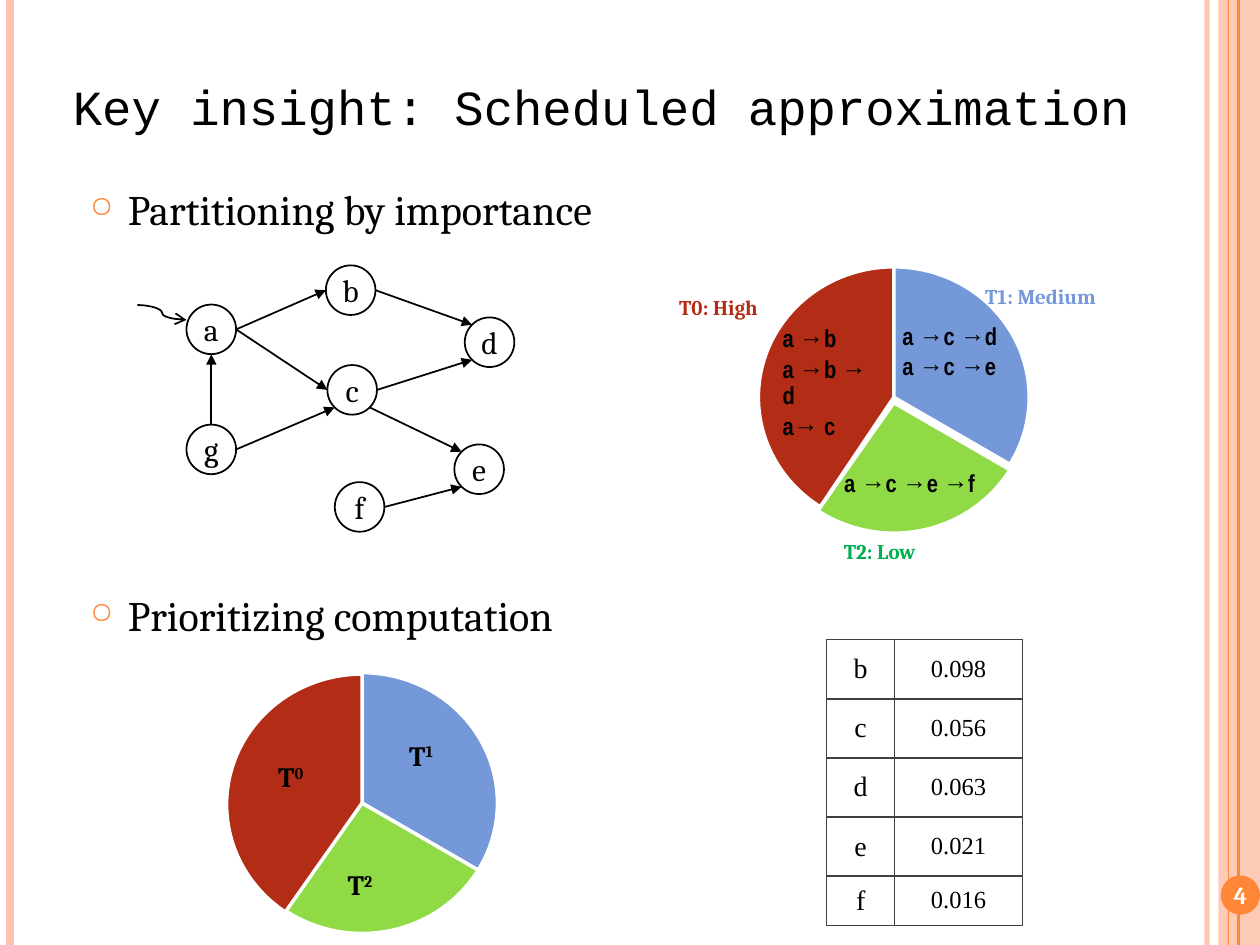
import math
import pptx
import pptx.util
import pptx.dml.color
import pptx.enum.shapes
import pptx.enum.text
import pptx.oxml
import pptx.oxml.ns

Cm, Pt = pptx.util.Cm, pptx.util.Pt
SHAPE = pptx.enum.shapes.MSO_SHAPE
LINK = pptx.enum.shapes.MSO_CONNECTOR
ALIGN = pptx.enum.text.PP_ALIGN
MIDDLE = pptx.enum.text.MSO_ANCHOR.MIDDLE

COLORS = {
    "black": "000000", "white": "FFFFFF", "orange": "FE8637", "peach": "FEC3AE",
    "red": "B32C16", "blue": "7598D9", "lime": "90DA46", "green": "00B050",
    "border": "404040",
}
TITLE = "Key insight: Scheduled approximation"
BULLETS = [("Partitioning by importance", 3.58), ("Prioritizing computation", 11.76)]
RULES = [
    (24.33, "peach", 3, 93), (0.2, "peach", 4.5, 100),
    (24.97, "orange", 1.5, 100), (24.77, "orange", 0.75, 100),
]
SLICES = {"red": (74.32, 162), "blue": (162, 18), "lime": (18, 75.08)}
PIES = [
    (15.29, {"red": 5.38, "blue": 5.38, "lime": 5.49}),
    (4.57, {"blue": 13.56, "red": 13.59, "lime": 13.56}),
]
WALKS = [
    (["a →b", "a →b → d", "a→ c"], 15.75, 6.55, 2.11, 1.8),
    (["a →c →d", "a →c →e"], 18.16, 6.5, 2.24, 1.57),
    (["a →c →e →f"], 16.99, 9.47, 2.92, 1.12),
]
LEVELS = [
    ("T0: High", "red", 13.44, 5.82),
    ("T1: Medium", "blue", 19.61, 5.59),
    ("T2: Low", "green", 16.76, 10.74),
]
TIERS = [("1", 8, 14.76), ("0", 5.36, 15.19), ("2", 6.76, 17.37)]
SCORES = [("b", "0.098"), ("c", "0.056"), ("d", "0.063"), ("e", "0.021"), ("f", "0.016")]
NODE_SIZE = 1
NODES = {
    "a": (4.26, 6.64), "b": (7.07, 5.85), "c": (7.1, 7.86), "d": (9.87, 6.9),
    "e": (9.66, 9.46), "f": (7.25, 10.22), "g": (4.26, 9.06),
}
EDGES = [
    ("a", 0, "b", 180), ("a", 0, "c", 180), ("b", 0, "d", 225), ("c", 0, "d", 135),
    ("c", 45, "e", 225), ("f", 0, "e", 135), ("g", 0, "c", 135), ("g", 270, "a", 90),
]

prs = pptx.Presentation()
prs.slide_width, prs.slide_height = Cm(25.4), Cm(19.05)
s = prs.slides.add_slide(prs.slide_layouts[6])


def rgb(name):
    return pptx.dml.color.RGBColor.from_string(COLORS[name])


def add_xml(parent, tag, **attrs):
    child = pptx.oxml.parse_xml(f"<a:{tag} {pptx.oxml.ns.nsdecls('a')}/>")
    for key, value in attrs.items():
        child.set(key, str(value))
    parent.append(child)
    return child


def set_alpha(fill_parent, percent):
    for color in fill_parent.iter(pptx.oxml.ns.qn("a:srgbClr")):
        add_xml(color, "alpha", val=percent * 1000)


def style(p, size, font="Cambria", color="black", bold=False):
    p.font.size, p.font.name, p.font.bold = Pt(size), font, bold
    p.font.color.rgb = rgb(color)


def add_shape(kind, x, y, w, h, fill, line=None, width=1):
    sp = s.shapes.add_shape(kind, Cm(x), Cm(y), Cm(w), Cm(h))
    sp.shadow.inherit = False
    sp.fill.solid()
    sp.fill.fore_color.rgb = rgb(fill)
    if line:
        sp.line.color.rgb = rgb(line)
        sp.line.width = Pt(width)
    else:
        sp.line.fill.background()
    return sp


def set_margins(tf, margin):
    tf.margin_left = tf.margin_right = tf.margin_top = tf.margin_bottom = Cm(margin)


def center_text(sp, text, size, color="black", bold=False):
    tf = sp.text_frame
    set_margins(tf, 0)
    tf.vertical_anchor = MIDDLE
    p = tf.paragraphs[0]
    p.text, p.alignment = text, ALIGN.CENTER
    style(p, size, color=color, bold=bold)


def add_text(x, y, w, h, wrap=True):
    tf = s.shapes.add_textbox(Cm(x), Cm(y), Cm(w), Cm(h)).text_frame
    tf.word_wrap = wrap
    return tf


def add_line(x1, y1, x2, y2, color="black", width=1, tail=None, kind=LINK.STRAIGHT):
    cx = s.shapes.add_connector(kind, Cm(x1), Cm(y1), Cm(x2), Cm(y2))
    cx.line.color.rgb = rgb(color)
    cx.line.width = Pt(width)
    if tail:
        add_xml(cx.line._get_or_add_ln(), "tailEnd", type=tail)
    add_xml(cx._element.spPr, "effectLst")
    return cx


def rim(node, degrees):
    x, y = NODES[node]
    angle = math.radians(degrees)
    return x + NODE_SIZE / 2 * math.cos(angle), y + NODE_SIZE / 2 * math.sin(angle)


band = add_shape(SHAPE.RECTANGLE, 24.56, 0, 0.84, 19.05, "peach")
set_alpha(band._element.spPr, 87)
for x, color, width, alpha in RULES:
    cx = add_line(x, 0, x, 19.05, color, width)
    if alpha < 100:
        set_alpha(cx._element.spPr, alpha)
badge = add_shape(SHAPE.OVAL, 24.61, 17.65, 0.79, 0.79, "orange")
center_text(badge, "4", 14, "white", True)

p = add_text(1.22, 1.42, 22.07, 1.37, wrap=False).paragraphs[0]
p.text = TITLE
style(p, 28, "Courier New")

for text, y in BULLETS:
    p = add_text(1.57, y, 13.41, 1.3).paragraphs[0]
    p.text = text
    pPr = p._p.get_or_add_pPr()
    pPr.set("marL", str(Cm(0.76)))
    pPr.set("indent", str(-Cm(0.76)))
    add_xml(add_xml(pPr, "buClr"), "srgbClr", val=COLORS["orange"])
    add_xml(pPr, "buSzPct", val=70000)
    add_xml(pPr, "buChar", char="○")
    style(p, 24)

for x, slices in PIES:
    for color, y in slices.items():
        sp = add_shape(SHAPE.PIE, x, y, 5.46, 5.26, color, "white", 2)
        sp.adjustments[0], sp.adjustments[1] = SLICES[color]

for walks, x, y, w, h in WALKS:
    tf = add_text(x, y, w, h, wrap=False)
    set_margins(tf, 0.03)
    for i, walk in enumerate(walks):
        p = tf.add_paragraph() if i else tf.paragraphs[0]
        p.text, p.line_spacing, p.space_after = walk, 0.9, Pt(2.5)
        style(p, 14, "Arial Narrow", bold=True)

for text, color, x, y in LEVELS:
    p = add_text(x, y, 3.38, 0.76).paragraphs[0]
    p.text = text
    style(p, 12, color=color, bold=True)

for index, x, y in TIERS:
    p = add_text(x, y, 3.38, 0.94).paragraphs[0]
    for text in ("T", index):
        r = p.add_run()
        r.text = text
    r.font._element.set("baseline", "30000")
    style(p, 16, bold=True)

table = s.shapes.add_table(len(SCORES), 2, Cm(16.66), Cm(12.9), Cm(3.95), Cm(5.75)).table
table.first_row = table.horz_banding = False
for column, width in zip(table.columns, (1.38, 2.57)):
    column.width = Cm(width)
for i, score in enumerate(SCORES):
    table.rows[i].height = Cm(0.99 if i == len(SCORES) - 1 else 1.19)
    for j, (text, size) in enumerate(zip(score, (16, 14))):
        cell = table.cell(i, j)
        cell.vertical_anchor = MIDDLE
        p = cell.text_frame.paragraphs[0]
        p.text, p.alignment = text, ALIGN.CENTER
        style(p, size, "Times New Roman")
        for side in ("lnL", "lnR", "lnT", "lnB"):
            ln = add_xml(cell._tc.get_or_add_tcPr(), side, w=Pt(0.75))
            add_xml(add_xml(ln, "solidFill"), "srgbClr", val=COLORS["border"])
        cell.fill.solid()
        cell.fill.fore_color.rgb = rgb("white")

for name, (x, y) in NODES.items():
    sp = add_shape(SHAPE.OVAL, x - NODE_SIZE / 2, y - NODE_SIZE / 2,
                   NODE_SIZE, NODE_SIZE, "white", "black")
    center_text(sp, name, 18)
for start, leave, end, arrive in EDGES:
    add_line(*rim(start, leave), *rim(end, arrive), tail="triangle")
add_line(2.77, 6.15, 3.76, 6.45, tail="arrow", kind=LINK.CURVE)

prs.save("out.pptx")
